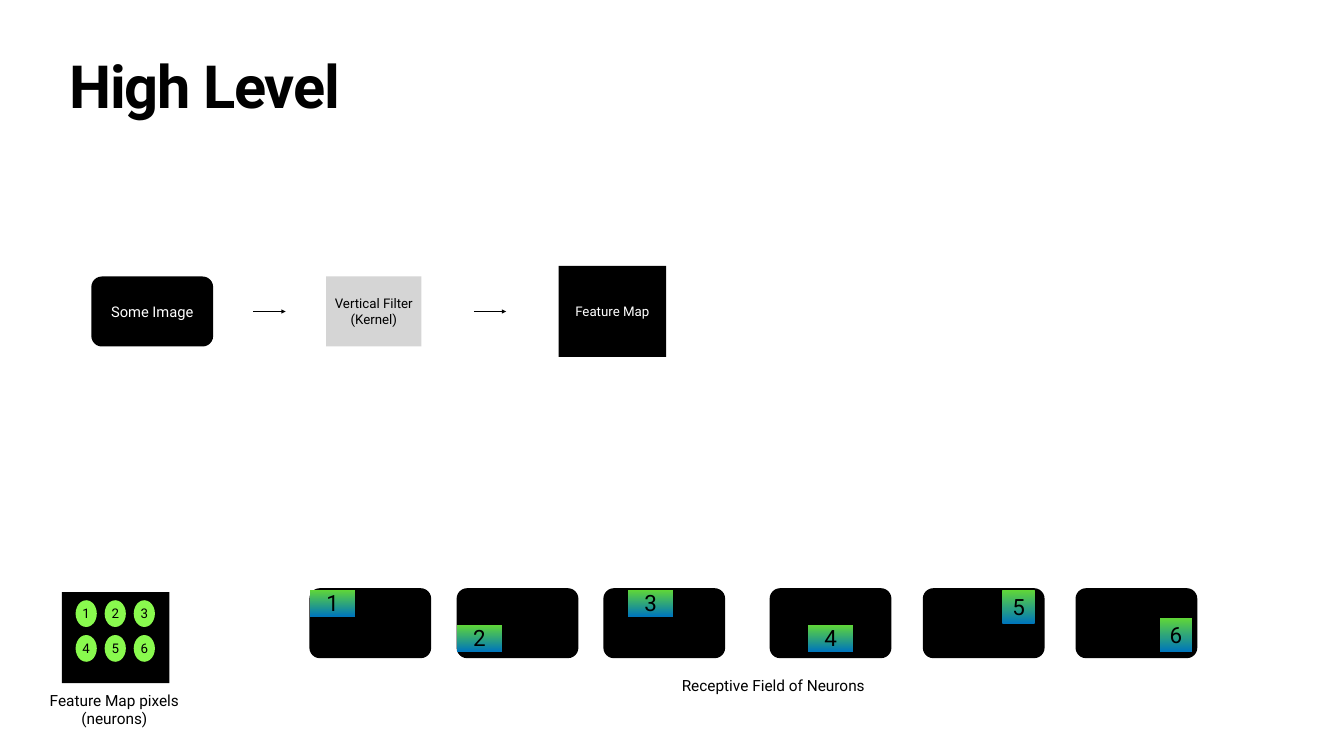
from pptx import Presentation
from pptx.dml.color import RGBColor
from pptx.enum.shapes import MSO_CONNECTOR, MSO_SHAPE
from pptx.enum.text import MSO_ANCHOR, MSO_AUTO_SIZE, PP_ALIGN
from pptx.oxml.ns import qn
from pptx.util import Pt
from lxml.etree import SubElement

COLORS = {
    "black": "000000", "white": "FFFFFF", "gray": "D5D5D5",
    "lime": "89FA4E", "green": "61D836", "blue": "0076BA",
}


def rgb(name):
    return RGBColor.from_string(COLORS[name])


def write(sp, text, size=19, color="black", bold=False, aligns=(PP_ALIGN.CENTER,),
          anchor=MSO_ANCHOR.MIDDLE, wrap=True, grow=False, line=None, before=None):
    """Fill a shape with one paragraph per line; the last alignment repeats."""
    tf = sp.text_frame
    tf.margin_left = tf.margin_right = tf.margin_top = tf.margin_bottom = Pt(4)
    tf.word_wrap = wrap
    tf.auto_size = MSO_AUTO_SIZE.SHAPE_TO_FIT_TEXT if grow else MSO_AUTO_SIZE.NONE
    tf.vertical_anchor = anchor
    for i, words in enumerate(text.split("\n")):
        p = tf.add_paragraph() if i else tf.paragraphs[0]
        p.alignment = aligns[min(i, len(aligns) - 1)]
        if line:
            p.line_spacing = line
        if before:
            p.space_before = Pt(before)
        r = p.add_run()
        r.text = words
        r.font.name = "Roboto"
        r.font.size = Pt(size)
        r.font.bold = bold
        r.font.color.rgb = rgb(color)


prs = Presentation()
prs.slide_width, prs.slide_height = Pt(1920), Pt(1080)
s = prs.slides.add_slide(prs.slide_layouts[5])


def add_box(kind, x, y, w, h, *fill):
    """Add a borderless shape; two fill colours make a top-to-bottom gradient."""
    sp = s.shapes.add_shape(kind, Pt(x), Pt(y), Pt(w), Pt(h))
    sp.shadow.inherit = False
    sp.line.fill.background()
    if len(fill) == 2:
        sp.fill.gradient()
        sp.fill.gradient_angle = 270
        for i, stop in enumerate(sp.fill.gradient_stops):
            stop.position = i
            stop.color.rgb = rgb(fill[i])
    else:
        sp.fill.solid()
        sp.fill.fore_color.rgb = rgb(fill[0])
    if kind == MSO_SHAPE.ROUNDED_RECTANGLE:
        sp.adjustments[0] = 0.15
    return sp


# Title
title = s.shapes.title
title.left, title.top, title.width, title.height = Pt(95), Pt(85), Pt(1730), Pt(113)
write(title, "High Level", size=85, bold=True, aligns=(PP_ALIGN.LEFT,),
      anchor=MSO_ANCHOR.TOP, line=0.8)
title.text_frame.paragraphs[0].runs[0].font._element.set("spc", "-170")

# Pipeline: image, filter, feature map, centred on one line
AXIS = 445
for text, kind, x, w, h, fill, color, size in [
    ("Vertical Filter\n(Kernel)", MSO_SHAPE.RECTANGLE, 466, 136, 100, "gray", "black", 19),
    ("Some Image", MSO_SHAPE.ROUNDED_RECTANGLE, 130.5, 174, 100, "black", "white", 21),
    ("Feature Map", MSO_SHAPE.RECTANGLE, 798, 153.5, 130, "black", "white", 19),
]:
    sp = add_box(kind, x, AXIS - h / 2, w, h, fill)
    write(sp, text, size=size, color=color)

for x in (362, 677):
    arrow = s.shapes.add_connector(MSO_CONNECTOR.STRAIGHT, Pt(x), Pt(AXIS), Pt(x + 46), Pt(AXIS))
    arrow.line.color.rgb = rgb("black")
    arrow.line.width = Pt(2)
    SubElement(arrow.line._get_or_add_ln(), qn("a:tailEnd"), type="triangle")
    SubElement(arrow._element.spPr, qn("a:effectLst"))

# Feature map with its six neurons
add_box(MSO_SHAPE.RECTANGLE, 88.5, 846, 153.5, 130, "black")
for i in range(6):
    row, col = divmod(i, 3)
    sp = add_box(MSO_SHAPE.OVAL, 108 + 41.5 * col, 857.5 + 49.7 * row, 30.3, 38.2, "lime")
    write(sp, str(i + 1))

# Receptive fields: image left, then the patch's offset and size
WIDE, TALL = (65, 38.2), (46, 48.2)
for i, (x, dx, dy, (w, h)) in enumerate([
    (442, 0.8, 2, WIDE), (652.3, 0, 52, WIDE), (862, 35, 2, WIDE),
    (1099.5, 54.7, 52, WIDE), (1318.3, 113.8, 2, TALL), (1536.5, 120.2, 42, TALL),
], 1):
    add_box(MSO_SHAPE.ROUNDED_RECTANGLE, x, 840.3, 174, 100, "black")
    sp = add_box(MSO_SHAPE.RECTANGLE, x + dx, 840.3 + dy, w, h, "green", "blue")
    write(sp, str(i), size=32)

# Captions
for text, x, y, w, h, before, aligns in [
    ("Receptive Field of Neurons", 970, 964, 274, 34.5, 45, (PP_ALIGN.LEFT,)),
    ("Feature Map pixels\n(neurons)", 67, 985, 196.5, 60, 1, (PP_ALIGN.LEFT, PP_ALIGN.CENTER)),
]:
    sp = s.shapes.add_textbox(Pt(x), Pt(y), Pt(w), Pt(h))
    write(sp, text, size=22, aligns=aligns, wrap=False, grow=True, line=0.9, before=before)

prs.save("out.pptx")
